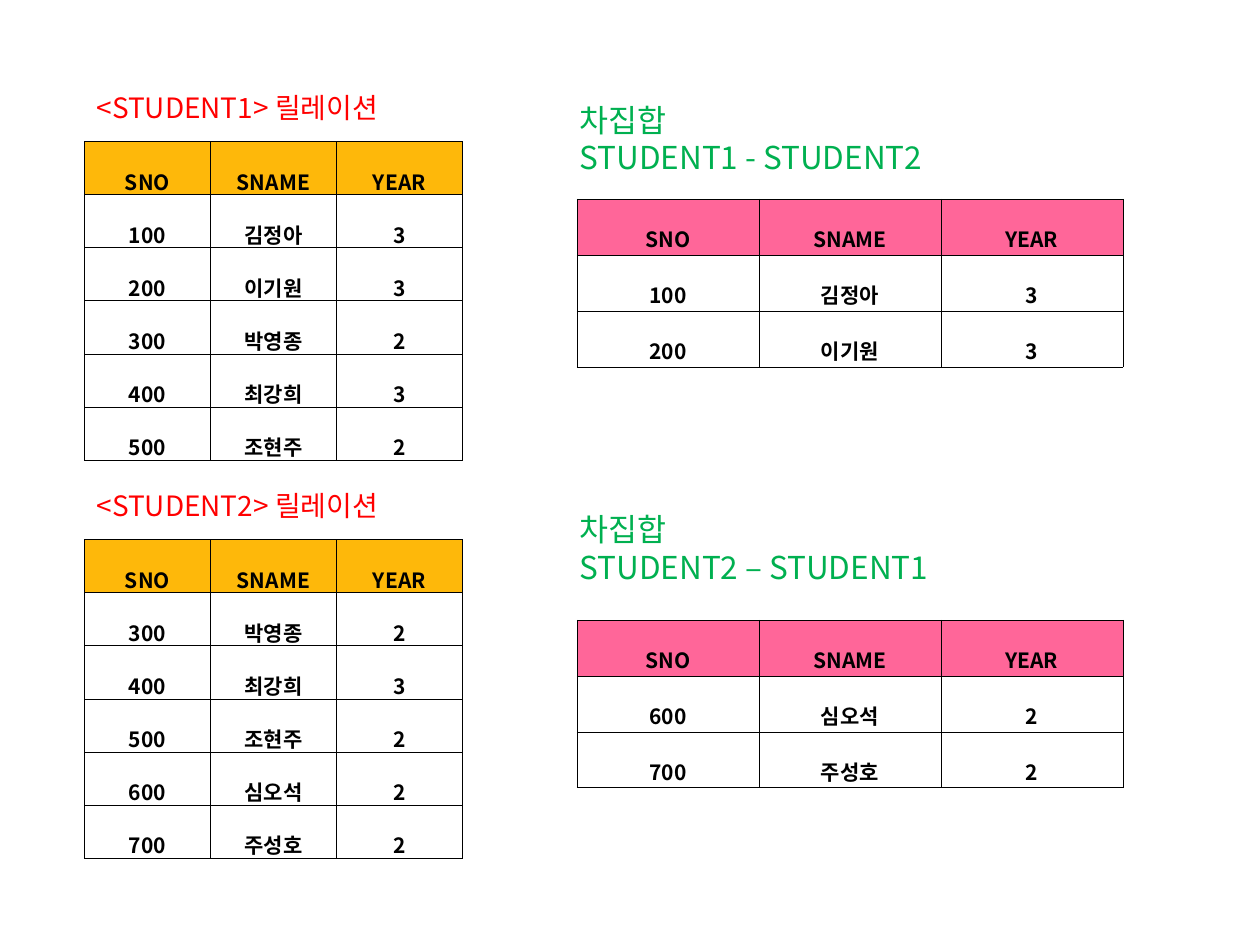
from lxml.etree import SubElement as Sub
from pptx import Presentation
from pptx.dml.color import RGBColor as Rgb
from pptx.enum.text import MSO_ANCHOR as Anchor, MSO_AUTO_SIZE as Fit, PP_ALIGN as Align
from pptx.oxml.ns import qn
from pptx.util import Inches, Pt

COLORS = {"head": "FEB80A", "diff": "FF6699", "red": "FF0000",
          "green": "00B050", "ink": "000000"}
FONT = "Noto Sans CJK KR"
FIELDS = ("SNO", "SNAME", "YEAR")
ROWS = [("100", "김정아", "3"), ("200", "이기원", "3"), ("300", "박영종", "2"),
        ("400", "최강희", "3"), ("500", "조현주", "2"), ("600", "심오석", "2"),
        ("700", "주성호", "2")]


def style(par, size, color, bold=False):
    """Format every run of a paragraph."""
    for run in par.runs:
        font = run.font
        font.size, font.bold, font.name = Pt(size), bold, FONT
        font.color.rgb = Rgb.from_string(COLORS[color])
        Sub(run._r.get_or_add_rPr(), qn("a:ea"), typeface=FONT)


def border(cell):
    """Draw a hairline on all four sides of a cell."""
    props = cell._tc.get_or_add_tcPr()
    for side in ("lnL", "lnR", "lnT", "lnB"):
        line = Sub(props, qn(f"a:{side}"), w=str(Pt(0.11)))
        fill = Sub(line, qn("a:solidFill"))
        Sub(fill, qn("a:srgbClr"), val=COLORS["ink"])


def heading(slide, box, text, size, color):
    """Place a heading of one or more lines."""
    frame = slide.shapes.add_textbox(*map(Inches, box)).text_frame
    frame.word_wrap = True
    frame.auto_size = Fit.SHAPE_TO_FIT_TEXT
    frame.text = text
    for par in frame.paragraphs:
        style(par, size, color)


def grid(slide, box, rows, color):
    """Place a relation table with a coloured header row."""
    data = [FIELDS, *rows]
    left, top, width, height = map(Inches, box)
    table = slide.shapes.add_table(len(data), len(FIELDS), left, top, width, height).table
    table.first_row = table.horz_banding = False
    for r, row in enumerate(data):
        for c, text in enumerate(row):
            cell = table.cell(r, c)
            cell.text = text
            cell.vertical_anchor = Anchor.MIDDLE
            border(cell)
            if r == 0:
                cell.fill.solid()
                cell.fill.fore_color.rgb = Rgb.from_string(COLORS[color])
            else:
                cell.fill.background()
            par = cell.text_frame.paragraphs[0]
            par.alignment, par.line_spacing = Align.CENTER, 1.6
            style(par, 12, "ink", True)


def source(slide, left, top, name, rows):
    """Place a source relation: its heading and its table."""
    heading(slide, (left, top, 2.83, 0.37), f"<{name}> 릴레이션", 16, "red")
    grid(slide, (left, top + 0.45, 3, 2.53), rows, "head")


def diff(slide, left, top, gap, text, rows):
    """Place a set difference: its heading and its table."""
    heading(slide, (left, top, 4.08, 0.7), f"차집합\n{text}", 18, "green")
    grid(slide, (left + 0.08, top + gap, 4.33, 1.33), rows, "diff")


def main():
    """Build the slide and save it."""
    deck = Presentation()
    deck.slide_width, deck.slide_height = Inches(10), Inches(7.5)
    slide = deck.slides.add_slide(deck.slide_layouts[6])
    source(slide, 0.67, 0.67, "STUDENT1", ROWS[:5])
    source(slide, 0.67, 3.83, "STUDENT2", ROWS[2:])
    diff(slide, 4.5, 0.75, 0.83, "STUDENT1 - STUDENT2", ROWS[:2])
    diff(slide, 4.5, 4, 0.92, "STUDENT2 – STUDENT1", ROWS[5:])
    deck.save("out.pptx")


if __name__ == "__main__":
    main()
